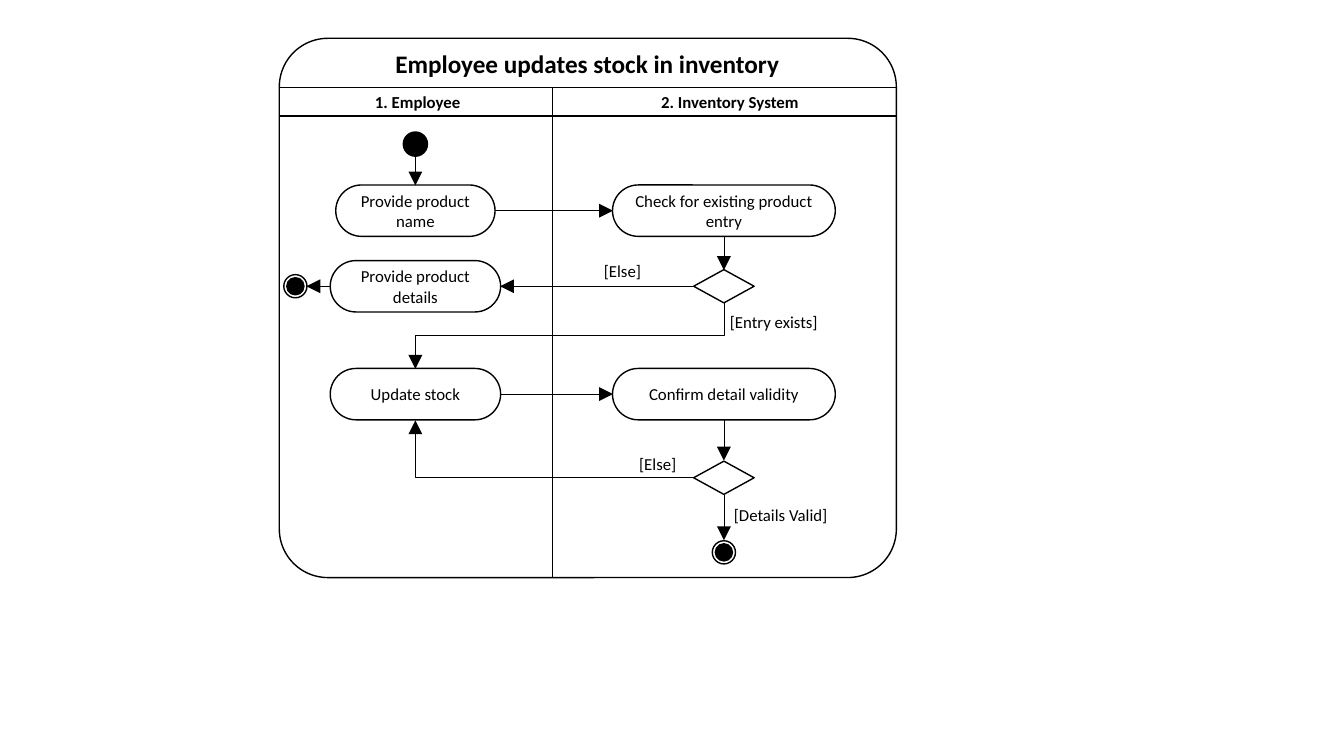
from lxml import etree
from pptx import Presentation
from pptx.dml.color import RGBColor
from pptx.enum.shapes import MSO_CONNECTOR, MSO_SHAPE
from pptx.enum.text import MSO_ANCHOR, MSO_AUTO_SIZE, PP_ALIGN
from pptx.oxml.ns import qn
from pptx.util import Inches, Pt

STRAIGHT, ELBOW = MSO_CONNECTOR.STRAIGHT, MSO_CONNECTOR.ELBOW
ROUNDED, OVAL, DIAMOND = MSO_SHAPE.ROUNDED_RECTANGLE, MSO_SHAPE.OVAL, MSO_SHAPE.DIAMOND
LEFT, CENTER = PP_ALIGN.LEFT, PP_ALIGN.CENTER
MIDDLE, GROW = MSO_ANCHOR.MIDDLE, MSO_AUTO_SIZE.SHAPE_TO_FIT_TEXT

# Lane centres and row centres, in inches
EMPLOYEE, SYSTEM = 4.12, 7.18
START_ROW, NAME_ROW, ENTRY_ROW, STOCK_ROW, VALID_ROW, END_ROW = 1.43, 2.09, 2.84, 3.91, 4.74, 5.48
FRAME_LEFT, FRAME_TOP, FRAME_RIGHT, FRAME_BOTTOM = 2.77, 0.38, 8.89, 5.73
LANES_TOP, LANES_BODY, LANE_SPLIT = 0.87, 1.15, 5.48
ACTION_H, DECISION_W, DECISION_H = 0.51, 0.6, 0.33
START_D, END_D, END_CORE_D = 0.24, 0.23, 0.17
END_X = 2.93


def color(hex_code):
    """Turn a hex string into a colour."""
    return RGBColor.from_string(hex_code)


def write(frame, text, size=12, bold=False, align=LEFT, ink="000000", font="Calibri"):
    """Put one formatted paragraph into a text frame."""
    paragraph = frame.paragraphs[0]
    paragraph.alignment = align
    run = paragraph.add_run()
    run.text = text
    run.font.size, run.font.bold, run.font.name = Pt(size), bold, font
    run.font.color.rgb = color(ink)


class ActivityDiagram:
    """Style and slide of an activity diagram."""

    ink, outline, flow_width = "000000", 1, 0.5

    def __init__(self, slide):
        """Draw on the given slide."""
        self.shapes = slide.shapes

    def node(self, kind, x, y, width, height, filled=False, corner=None, parent=None):
        """Draw an outlined preset shape centred on a point."""
        shapes = parent.shapes if parent else self.shapes
        node = shapes.add_shape(kind, Inches(x - width / 2), Inches(y - height / 2),
                                Inches(width), Inches(height))
        node.shadow.inherit = False
        if corner is not None:
            node.adjustments[0] = corner
        if filled:
            node.fill.solid()
            node.fill.fore_color.rgb = color(self.ink)
        else:
            node.fill.background()
        node.line.color.rgb = color(self.ink)
        node.line.width = Pt(self.outline)
        return node

    def action(self, x, y, width, text):
        """Draw a pill-shaped action."""
        frame = self.node(ROUNDED, x, y, width, ACTION_H, corner=0.5).text_frame
        frame.word_wrap = True
        frame.vertical_anchor = MIDDLE
        write(frame, text, align=CENTER)

    def final(self, x, y):
        """Draw a ringed final node as one group."""
        group = self.shapes.add_group_shape()
        self.node(OVAL, x, y, END_CORE_D, END_CORE_D, filled=True, parent=group)
        self.node(OVAL, x, y, END_D, END_D, parent=group)

    def label(self, left, top, width, height, text, wrap=False, **style):
        """Add a text box."""
        frame = self.shapes.add_textbox(Inches(left), Inches(top),
                                        Inches(width), Inches(height)).text_frame
        frame.word_wrap = wrap
        frame.auto_size = GROW
        write(frame, text, **style)

    def line(self, start, end, kind=STRAIGHT, width=None):
        """Draw a plain line between two points."""
        line = self.shapes.add_connector(kind, *map(Inches, (*start, *end)))
        line.line.color.rgb = color(self.ink)
        line.line.width = Pt(width or self.outline)
        etree.SubElement(line._element.spPr, qn("a:effectLst"))
        return line

    def flow(self, start, end, kind=STRAIGHT):
        """Draw a thin line with an arrowhead at its end."""
        flow = self.line(start, end, kind, self.flow_width)
        etree.SubElement(flow.line._get_or_add_ln(), qn("a:tailEnd"),
                         type="triangle", w="lg", len="lg")
        return flow

    def bent_flow(self, start, end, preset, degrees):
        """Draw an elbow arrow whose box is turned about its centre."""
        (x1, y1), (x2, y2) = start, end
        mid_x, mid_y = (x1 + x2) / 2, (y1 + y2) / 2
        half_w, half_h = abs(x2 - x1) / 2, abs(y2 - y1) / 2
        if degrees == 90:
            half_w, half_h = half_h, half_w
        flow = self.flow((mid_x - half_w, mid_y - half_h), (mid_x + half_w, mid_y + half_h), ELBOW)
        properties = flow._element.spPr
        properties.find(qn("a:xfrm")).set("rot", str(degrees * 60000))
        properties.find(qn("a:prstGeom")).set("prst", preset)


presentation = Presentation()
presentation.slide_width, presentation.slide_height = Inches(13.33), Inches(7.5)
diagram = ActivityDiagram(presentation.slides.add_slide(presentation.slide_layouts[6]))

# Frame and lanes
diagram.node(ROUNDED, (FRAME_LEFT + FRAME_RIGHT) / 2, (FRAME_TOP + FRAME_BOTTOM) / 2,
             FRAME_RIGHT - FRAME_LEFT, FRAME_BOTTOM - FRAME_TOP, corner=0.09)
for rule_y in (LANES_TOP, LANES_BODY):
    diagram.line((FRAME_LEFT, rule_y), (FRAME_RIGHT, rule_y))
diagram.line((LANE_SPLIT, LANES_TOP), (LANE_SPLIT, FRAME_BOTTOM))
diagram.label(3.17, 0.43, 5.31, 0.4, "Employee updates stock in inventory",
              wrap=True, size=18, bold=True, align=CENTER)
diagram.label(3.62, 0.86, 1.13, 0.3, "1. Employee", wrap=True, bold=True)
diagram.label(5.99, 0.86, 2.5, 0.3, "2. Inventory System", wrap=True, bold=True, align=CENTER)

# Nodes
diagram.node(OVAL, EMPLOYEE, START_ROW, START_D, START_D, filled=True)
for x, y, width, text in (
    (EMPLOYEE, NAME_ROW, 1.58, "Provide product name"),
    (SYSTEM, NAME_ROW, 2.21, "Check for existing product entry"),
    (EMPLOYEE, ENTRY_ROW, 1.69, "Provide product details"),
    (EMPLOYEE, STOCK_ROW, 1.69, "Update stock"),
    (SYSTEM, STOCK_ROW, 2.21, "Confirm detail validity"),
):
    diagram.action(x, y, width, text)
for row in (ENTRY_ROW, VALID_ROW):
    diagram.node(DIAMOND, SYSTEM, row, DECISION_W, DECISION_H)
diagram.final(END_X, ENTRY_ROW)
diagram.final(SYSTEM, END_ROW)

# Flows
for start, end in (
    ((EMPLOYEE, 1.55), (EMPLOYEE, 1.84)),
    ((4.91, NAME_ROW), (6.08, NAME_ROW)),
    ((SYSTEM, 2.35), (SYSTEM, 2.68)),
    ((6.88, ENTRY_ROW), (4.96, ENTRY_ROW)),
    ((3.27, ENTRY_ROW), (3.04, ENTRY_ROW)),
    ((4.96, STOCK_ROW), (6.08, STOCK_ROW)),
    ((SYSTEM, 4.17), (SYSTEM, 4.57)),
    ((SYSTEM, 4.9), (SYSTEM, 5.36)),
):
    diagram.flow(start, end)
diagram.bent_flow((SYSTEM, 3), (EMPLOYEE, 3.66), "bentConnector3", 90)
diagram.bent_flow((6.88, VALID_ROW), (EMPLOYEE, 4.17), "bentConnector2", 180)

# Conditions
for left, top, width, text in (
    (5.89, 2.54, 0.58, "[Else]"),
    (7.14, 3.04, 1.08, "[Entry exists]"),
    (6.24, 4.45, 0.58, "[Else]"),
    (7.18, 4.96, 1.14, "[Details Valid]"),
):
    diagram.label(left, top, width, 0.3, text)

presentation.save("out.pptx")
